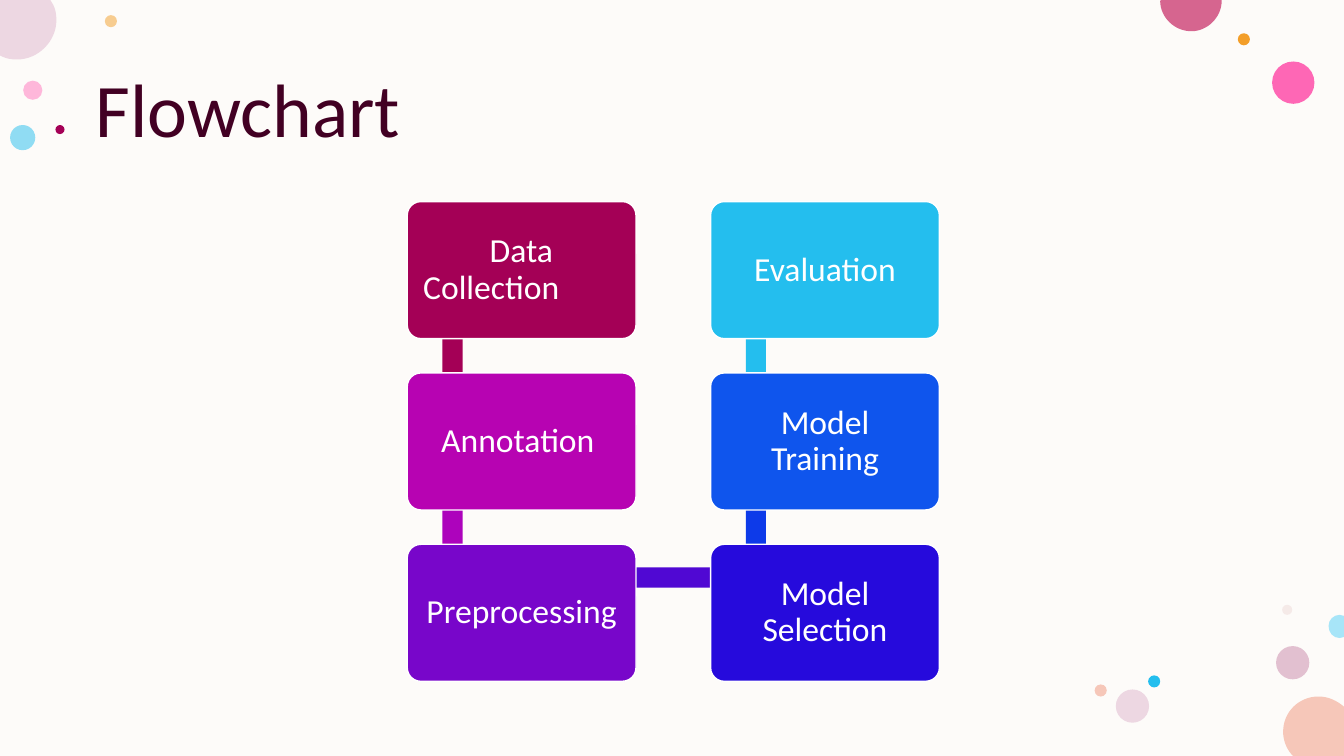
from dataclasses import dataclass

import lxml.etree
import pptx
import pptx.dml.color
import pptx.enum.shapes
import pptx.enum.text
import pptx.oxml.ns
import pptx.util

Inches = pptx.util.Inches
qn = pptx.oxml.ns.qn
MSO_SHAPE = pptx.enum.shapes.MSO_SHAPE
PP_ALIGN = pptx.enum.text.PP_ALIGN
MIDDLE = pptx.enum.text.MSO_ANCHOR.MIDDLE

SLIDE_W, SLIDE_H = 40 / 3, 7.5


@dataclass(frozen=True)
class Theme:
    font: str = "Calibri"
    title_size: int = 54
    step_size: int = 24
    background: str = "FDFBF9"
    title: str = "420023"
    white: str = "FFFFFF"
    crimson: str = "A40056"
    cyan: str = "24BEEE"
    orange: str = "F39E29"
    salmon: str = "F6C7B9"
    mauve: str = "EDD7E2"


THEME = Theme()


@dataclass(frozen=True)
class Dot:
    left: float
    top: float
    size: float
    color: str
    alpha: int = 100


@dataclass(frozen=True)
class EdgeDisc:
    """Outline of a disc cut off by the slide edge; each curve has three points."""
    start: tuple[float, float]
    segments: tuple[tuple[tuple[float, float], ...], ...]
    color: str


@dataclass(frozen=True)
class Step:
    text: str
    col: int
    row: int
    color: str
    first_indent: float = 0


@dataclass(frozen=True)
class Bar:
    left: float
    top: float
    width: float
    height: float
    color: str


def rgb(color: str) -> pptx.dml.color.RGBColor:
    return pptx.dml.color.RGBColor.from_string(color)


def paint(sp, color: str, alpha: int = 100) -> None:
    """Plain fill without outline or shadow."""
    sp.shadow.inherit = False
    sp.fill.solid()
    sp.fill.fore_color.rgb = rgb(color)
    sp.line.fill.background()
    if alpha < 100:
        clr = sp._element.spPr.find(qn("a:solidFill")).find(qn("a:srgbClr"))
        lxml.etree.SubElement(clr, qn("a:alpha")).set("val", str(alpha * 1000))


def add_run(p, text: str, size: int, color: str) -> None:
    p.line_spacing = 0.9
    r = p.add_run()
    r.text = text
    r.font.name = THEME.font
    r.font.size = pptx.util.Pt(size)
    r.font.color.rgb = rgb(color)


def add_dot(slide, dot: Dot) -> None:
    sp = slide.shapes.add_shape(MSO_SHAPE.OVAL, Inches(dot.left), Inches(dot.top),
                                Inches(dot.size), Inches(dot.size))
    paint(sp, dot.color, dot.alpha)


def add_edge_disc(slide, disc: EdgeDisc) -> None:
    builder = slide.shapes.build_freeform(*map(Inches, disc.start))
    builder.add_line_segments([tuple(map(Inches, pt)) for seg in disc.segments for pt in seg])
    sp = builder.convert_to_shape()
    paint(sp, disc.color)
    # Turn each group of three points into one curve
    lines = iter(list(sp._element.iter(qn("a:lnTo"))))
    for seg in disc.segments:
        group = [next(lines) for _ in seg]
        if len(group) == 3:
            outline = group[0].getparent()
            curve = lxml.etree.Element(qn("a:cubicBezTo"))
            outline.replace(group[0], curve)
            for line in group:
                curve.append(line[0])
            for line in group[1:]:
                outline.remove(line)
    lxml.etree.SubElement(outline, qn("a:close"))


def add_bar(slide, bar: Bar) -> None:
    sp = slide.shapes.add_shape(MSO_SHAPE.RECTANGLE, Inches(bar.left), Inches(bar.top),
                                Inches(bar.width), Inches(bar.height))
    paint(sp, bar.color)


def add_step(slide, step: Step) -> None:
    sp = slide.shapes.add_shape(
        MSO_SHAPE.ROUNDED_RECTANGLE,
        Inches(GRID_LEFT + step.col * COL_STEP), Inches(GRID_TOP + step.row * ROW_STEP),
        Inches(BOX_W), Inches(BOX_H))
    sp.adjustments[0] = 0.1
    paint(sp, step.color)
    sp.line.color.rgb = rgb(THEME.white)
    sp.line.width = pptx.util.Pt(1)
    tf = sp.text_frame
    tf.word_wrap = True
    tf.vertical_anchor = MIDDLE
    tf.margin_left = tf.margin_right = tf.margin_top = tf.margin_bottom = Inches(0.1)
    p = tf.paragraphs[0]
    p.alignment = PP_ALIGN.CENTER
    if step.first_indent:
        p.alignment = PP_ALIGN.LEFT
        pPr = p._p.get_or_add_pPr()
        pPr.set("marL", str(Inches(0.02)))
        pPr.set("indent", str(Inches(step.first_indent)))
    add_run(p, step.text, THEME.step_size, THEME.white)


def add_title(slide, text: str) -> None:
    sp = slide.shapes.add_textbox(Inches(0.85), Inches(0.4), Inches(11.66), Inches(1.45))
    tf = sp.text_frame
    tf.word_wrap = True
    tf.vertical_anchor = MIDDLE
    add_run(tf.paragraphs[0], text, THEME.title_size, THEME.title)


# Flowchart grid
GRID_LEFT, GRID_TOP = 4.04, 2.0
COL_STEP, ROW_STEP = 3.01, 1.7
BOX_W, BOX_H = 2.27, 1.36
BAR_LEFT, BAR_TOP, BAR_SIZE, BAR_LENGTH = 4.39, 2.33, 0.2, 1.69

STEPS = [
    Step("Data Collection", 0, 0, THEME.crimson, first_indent=0.66),
    Step("Annotation ", 0, 1, "B703B2"),
    Step("Preprocessing", 0, 2, "7806CA"),
    Step("Model Selection", 1, 2, "260ADC"),
    Step("Model Training", 1, 1, "0F55ED"),
    Step("Evaluation", 1, 0, THEME.cyan),
]
BAR_COLORS = [(THEME.crimson, "AD03BC"), (THEME.cyan, "0D3AE9")]
BARS = [
    Bar(BAR_LEFT + col * COL_STEP, BAR_TOP + row * ROW_STEP, BAR_SIZE, BAR_LENGTH, color)
    for col, colors in enumerate(BAR_COLORS) for row, color in enumerate(colors)
] + [Bar(4.5, 5.63, COL_STEP, BAR_SIZE, "5008D3")]

# Corner decoration
DOTS = [
    Dot(0.23, 0.8, 0.19, "FF75BD", 50),
    Dot(1.04, 0.15, 0.12, THEME.orange, 50),
    Dot(12.66, 6.41, 0.33, "C987A8", 50),
    Dot(0.1, 1.24, 0.25, THEME.cyan, 50),
    Dot(12.62, 0.61, 0.42, "FF2F9C", 72),
    Dot(12.28, 0.33, 0.12, THEME.orange),
    Dot(12.72, 6, 0.1, "E3BEBE", 28),
    Dot(11.39, 6.7, 0.12, THEME.cyan),
    Dot(11.07, 6.84, 0.33, THEME.mauve),
    Dot(10.86, 6.79, 0.12, THEME.salmon),
    Dot(0.55, 1.24, 0.09, THEME.crimson),
]
EDGE_DISCS = [
    EdgeDisc((13.08, 6.91), (
        ((13.18, 6.91), (13.26, 6.95), (SLIDE_W, 7.01)), ((SLIDE_W, SLIDE_H),),
        ((12.83, SLIDE_H),), ((12.81, 7.48),), ((12.76, 7.42), (12.73, 7.34), (12.73, 7.26)),
        ((12.73, 7.06), (12.89, 6.91), (13.08, 6.91))), THEME.salmon),
    EdgeDisc((0, 0), (
        ((0.5, 0),), ((0.53, 0.05),), ((0.55, 0.09), (0.56, 0.14), (0.56, 0.2)),
        ((0.56, 0.41), (0.38, 0.59), (0.17, 0.59)),
        ((0.11, 0.59), (0.06, 0.58), (0.02, 0.56)), ((0, 0.55),)), THEME.mauve),
    EdgeDisc((11.52, 0), (
        ((12.12, 0),), ((12.12, 0.01),), ((12.12, 0.17), (11.98, 0.31), (11.82, 0.31)),
        ((11.65, 0.31), (11.51, 0.17), (11.51, 0.01))), "D6658F"),
    EdgeDisc((13.29, 6.1), (
        ((SLIDE_W, 6.11),), ((SLIDE_W, 6.32),), ((13.29, 6.33),),
        ((13.23, 6.33), (13.18, 6.28), (13.18, 6.21)),
        ((13.18, 6.15), (13.23, 6.1), (13.29, 6.1))), "A7E5F8"),
]


def main() -> None:
    prs = pptx.Presentation()
    prs.slide_width, prs.slide_height = Inches(SLIDE_W), Inches(SLIDE_H)
    slide = prs.slides.add_slide(prs.slide_layouts[6])
    add_bar(slide, Bar(0, 0, SLIDE_W, SLIDE_H, THEME.background))
    for dot in DOTS:
        add_dot(slide, dot)
    for disc in EDGE_DISCS:
        add_edge_disc(slide, disc)
    add_title(slide, "Flowchart")
    # Bars lie behind the boxes
    for bar in BARS:
        add_bar(slide, bar)
    for step in STEPS:
        add_step(slide, step)
    prs.save("out.pptx")


if __name__ == "__main__":
    main()
